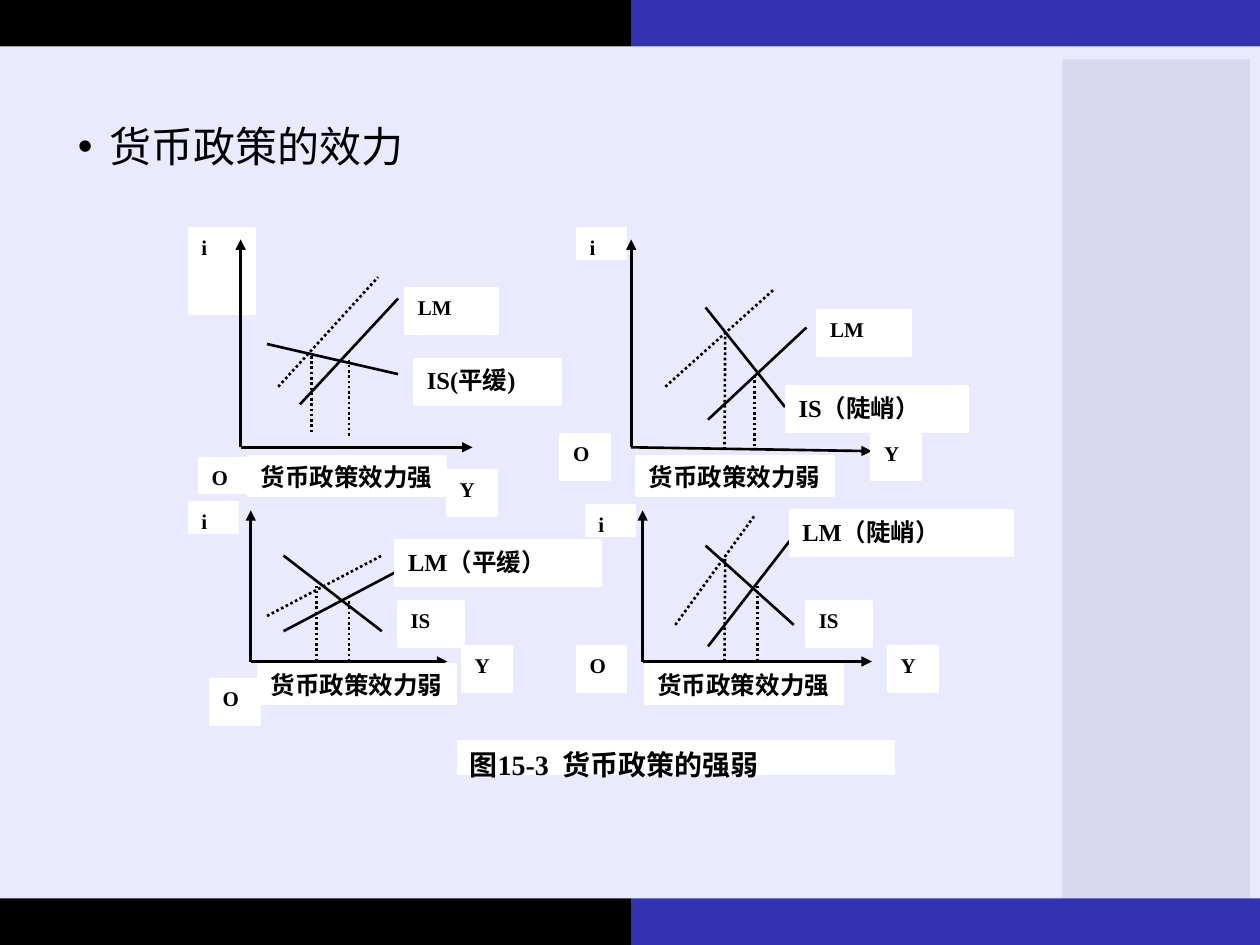
from dataclasses import dataclass

from lxml import etree
from pptx import Presentation
from pptx.dml.color import RGBColor
from pptx.enum.dml import MSO_LINE
from pptx.enum.shapes import MSO_CONNECTOR, MSO_SHAPE
from pptx.enum.text import MSO_ANCHOR, PP_ALIGN
from pptx.oxml.ns import qn
from pptx.util import Pt


@dataclass(frozen=True)
class Theme:
    """Colours, fonts and sizes of the slide."""
    ink: str = "000000"
    paper: str = "FFFFFF"
    body: str = "EAEAFF"
    accent: str = "3333B2"
    side: str = "D8D8F0"
    latin: str = "Times New Roman"
    cjk: str = "Noto Sans CJK JP"
    heading: int = 24
    caption: int = 16
    note: int = 14
    symbol: int = 12
    stroke: float = 1.5


@dataclass
class Panel:
    """One IS-LM diagram: lines as (x1, y1, x2, y2), labels as (text, x, y, w, h)."""
    axis: tuple
    axis_top: float
    curves: list
    dotted: list
    labels: list


class SlideBuilder:
    """Draws styled elements on the current slide."""

    def __init__(self, slide, theme):
        """Keep the slide and its theme."""
        self.slide, self.theme = slide, theme

    def rect(self, x, y, w, h, fill, outline=None):
        """Add a plain rectangle, outlined in its own colour if a width is given."""
        shape = self.slide.shapes.add_shape(MSO_SHAPE.RECTANGLE, Pt(x), Pt(y), Pt(w), Pt(h))
        shape.shadow.inherit = False
        shape.fill.solid()
        shape.fill.fore_color.rgb = RGBColor.from_string(fill)
        if outline:
            shape.line.color.rgb = RGBColor.from_string(fill)
            shape.line.width = Pt(outline)
        else:
            shape.line.fill.background()
        return shape

    def add_text(self, frame, text, size, latin, bold=False):
        """Put one styled paragraph in a top-anchored text frame."""
        frame.word_wrap = True
        frame.vertical_anchor = MSO_ANCHOR.TOP
        paragraph = frame.paragraphs[0]
        run = paragraph.add_run()
        run.text = text
        run.font.size, run.font.bold, run.font.name = Pt(size), bold, latin
        run.font.color.rgb = RGBColor.from_string(self.theme.ink)
        east_asian = etree.Element(qn("a:ea"), typeface=self.theme.cjk)
        run.font._element.find(qn("a:latin")).addnext(east_asian)
        return paragraph

    def label(self, text, x, y, w, h, size=None, outline=None):
        """Add a white label; Chinese labels are set larger than symbols."""
        theme = self.theme
        size = size or (theme.symbol if text.isascii() else theme.note)
        frame = self.rect(x, y, w, h, theme.paper, outline or theme.stroke).text_frame
        frame.margin_right = 0
        self.add_text(frame, text, size, theme.latin, True).alignment = PP_ALIGN.JUSTIFY

    def bullet(self, text, x, y, w, h):
        """Add the bulleted heading."""
        frame = self.slide.shapes.add_textbox(Pt(x), Pt(y), Pt(w), Pt(h)).text_frame
        paragraph = self.add_text(frame, text, self.theme.heading, self.theme.cjk)
        paragraph.line_spacing = 0.9
        paragraph.space_before = Pt(10)
        props = paragraph._p.get_or_add_pPr()
        props.set("marL", str(Pt(18)))
        props.set("indent", str(-Pt(18)))
        etree.SubElement(props, qn("a:buFont"), typeface="Arial")
        etree.SubElement(props, qn("a:buChar"), char="•")

    def line(self, x1, y1, x2, y2, dotted=False, arrow=False):
        """Add a straight line, optionally dotted or with an arrowhead at its end."""
        line = self.slide.shapes.add_connector(
            MSO_CONNECTOR.STRAIGHT, Pt(x1), Pt(y1), Pt(x2), Pt(y2))
        line.line.color.rgb = RGBColor.from_string(self.theme.ink)
        line.line.width = Pt(self.theme.stroke)
        if dotted:
            line.line.dash_style = MSO_LINE.ROUND_DOT
        if arrow:
            outline = line._element.spPr.find(qn("a:ln"))
            etree.SubElement(outline, qn("a:tailEnd"), type="triangle")
        etree.SubElement(line._element.spPr, qn("a:effectLst"))

    def panel(self, panel):
        """Draw a diagram, with the vertical axis above its labels."""
        self.line(*panel.axis, arrow=True)
        for curve in panel.curves:
            self.line(*curve)
        for curve in panel.dotted:
            self.line(*curve, dotted=True)
        for label in panel.labels:
            self.label(*label)
        x, y = panel.axis[:2]
        self.line(x, y, x, panel.axis_top, arrow=True)


SYMBOL = (28, 26)
I_BOX = (28, 17.3)
IS_BOX = (37.4, 26)
RESULT = (113, 22.7)
STRONG, WEAK = "货币政策效力强", "货币政策效力弱"

PANELS = [
    Panel((137.5, 255.6, 270, 255.6), 136.8,
          [(152.6, 196.6, 227.5, 213.8), (171.4, 231.1, 227.5, 170.6)],
          [(159, 221, 216, 158.4), (178, 247, 178, 202.3), (199.4, 249, 199.4, 206)],
          [("LM", 231.8, 164.9, 52.6, 26), ("IS(平缓)", 236.9, 205.2, 83.5, 26),
           ("Y", 255.6, 268.6, *SYMBOL), ("O", 113.8, 262.1, 28, 19.4),
           ("i", 108, 130.3, 37.4, 49), (STRONG, 141.8, 260.6, *RESULT)]),
    Panel((360.7, 255.6, 498.2, 257.8), 136.8,
          [(403.2, 175.7, 448.6, 232.6), (404.6, 239.8, 460.8, 187.2)],
          [(380.2, 221, 442.8, 164.9), (414, 257, 414.4, 192.2), (431.3, 255, 431.3, 215.3)],
          [("i", 329.8, 130.3, *I_BOX), ("O", 320.4, 248.4, *SYMBOL),
           ("Y", 498.2, 248.4, *SYMBOL), ("IS（陡峭）", 449.3, 221, 103.7, 26),
           ("LM", 467.3, 177.1, 53, 26), (WEAK, 363.6, 260.6, *RESULT)]),
    Panel((143.3, 378, 255.6, 378), 291.6,
          [(162, 317.5, 218.2, 360.7), (162, 360.7, 227.5, 326.2)],
          [(152.6, 352, 218.2, 317.5), (180.7, 378, 180.7, 334.8), (199.4, 378, 199.4, 343.4)],
          [("i", 108, 287.3, *I_BOX), ("O", 120.2, 388.1, *SYMBOL),
           ("LM（平缓）", 226.1, 308.9, 117.4, 26), ("IS", 227.5, 343.4, *IS_BOX),
           ("Y", 264.2, 369.4, *SYMBOL), (WEAK, 147.6, 379.4, *RESULT)]),
    Panel((367.2, 378, 498.2, 378), 291.6,
          [(403.2, 311.8, 453.6, 357.1), (404.6, 369.4, 451.4, 308.9)],
          [(385.9, 357.1, 431.3, 294.5), (414, 378, 414.4, 317.5), (432.7, 378, 432.7, 334.8)],
          [("i", 334.8, 288.7, *I_BOX), ("O", 329.8, 369.4, *SYMBOL),
           ("Y", 507.6, 369.4, *SYMBOL), ("LM（陡峭）", 451.4, 291.6, 127.4, 26),
           ("IS", 460.8, 343.4, *IS_BOX), (STRONG, 368.6, 379.4, *RESULT)]),
]


def main():
    """Build and save the slide."""
    deck = Presentation()
    deck.slide_width, deck.slide_height = Pt(720), Pt(540)
    theme = Theme()
    builder = SlideBuilder(deck.slides.add_slide(deck.slide_layouts[6]), theme)

    band, split = 26.6, 360.7
    builder.rect(0, band, 720, 540 - 2 * band, theme.body)
    builder.rect(607, 34, 107.3, 540 - band - 34, theme.side)
    for top in (0, 540 - band):
        builder.rect(0, top, split, band, theme.ink)
        builder.rect(split, top, 720 - split, band, theme.accent)

    builder.bullet("货币政策的效力", 37.4, 68.4, 651.6, 50)
    builder.label("图15-3  货币政策的强弱", 261.4, 423.4, 249.8, 19.4, theme.caption, 0.75)
    for panel in PANELS:
        builder.panel(panel)
    deck.save("out.pptx")


main()
